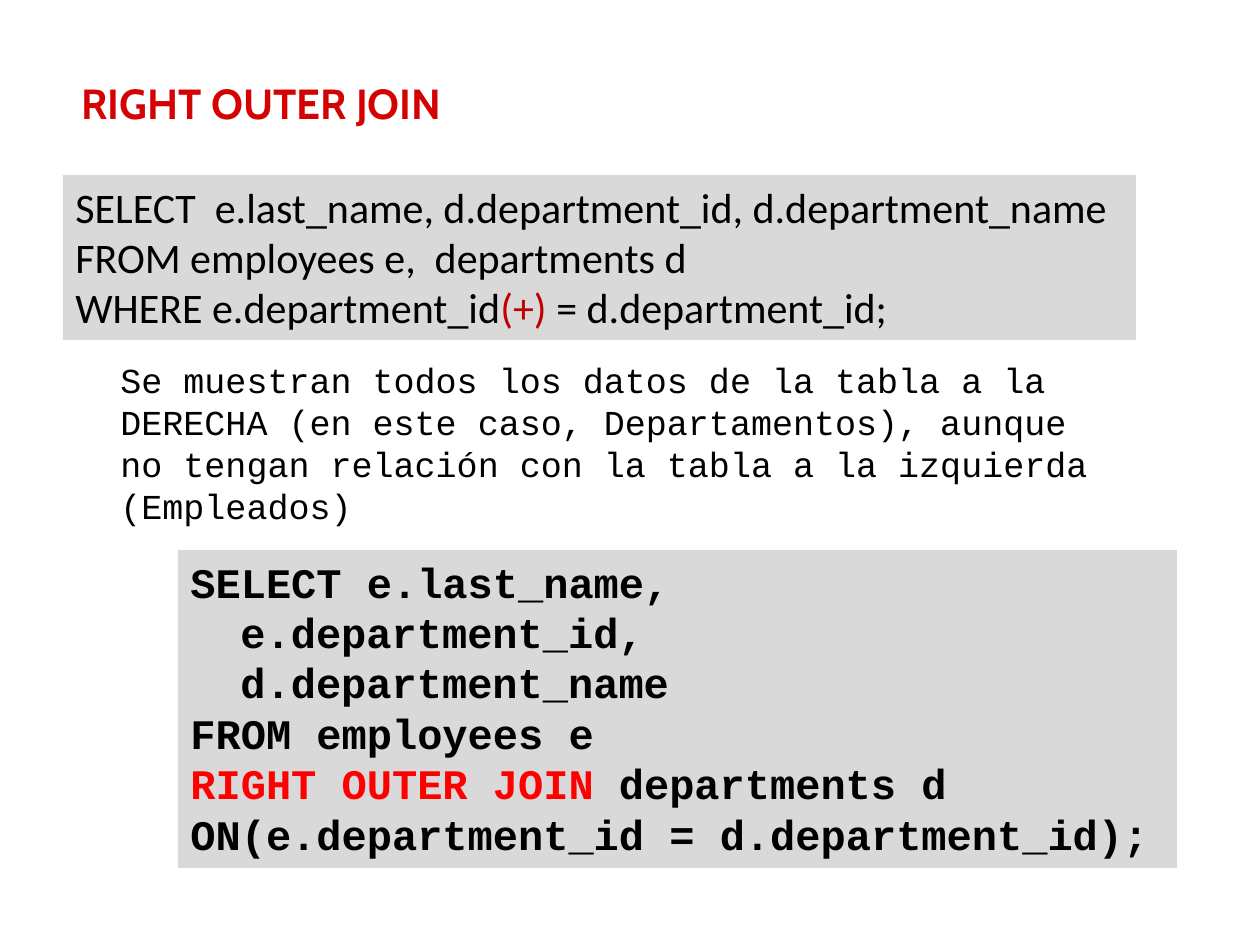
from pptx import Presentation
from pptx import util as u
from pptx.dml.color import RGBColor
from pptx.enum import text

PX = u.Inches(1) / 126
COLORS = {
    "title": "D40202",
    "panel": "D9D9D9",
    "ink": "000000",
    "plus": "C00000",
    "keyword": "FF0000",
}


def px(length):
    return u.Emu(round(length * PX))


def add_text(box, lines, *, font, size=24, color="ink", bold=False, fill=None,
             anchor=text.MSO_ANCHOR.TOP):
    """Each line is (indent in px, runs); each run is (words, colour name or None)."""
    shape = slide.shapes.add_textbox(*map(px, box))
    if fill:
        shape.fill.solid()
        shape.fill.fore_color.rgb = RGBColor.from_string(COLORS[fill])
    frame = shape.text_frame
    frame.word_wrap = True
    frame.vertical_anchor = anchor
    for number, (indent, runs) in enumerate(lines):
        paragraph = frame.paragraphs[0] if number == 0 else frame.add_paragraph()
        if indent:
            properties = paragraph._p.get_or_add_pPr()
            properties.set("marL", str(px(indent)))
            properties.set("indent", "0")
        for words, run_color in runs:
            run = paragraph.add_run()
            run.text = words
            run.font.name = font
            run.font.size = u.Pt(size)
            run.font.bold = bold
            run.font.color.rgb = RGBColor.from_string(COLORS[run_color or color])


presentation = Presentation()
presentation.slide_width = px(1260)
presentation.slide_height = px(945)
slide = presentation.slides.add_slide(presentation.slide_layouts[6])

add_text((69, 64, 439, 78), [(0, [("RIGHT OUTER JOIN", None)])],
         font="Cabin", color="title", bold=True, anchor=text.MSO_ANCHOR.MIDDLE)

old_syntax = [
    (0, [("SELECT  e.last_name, d.department_id, d.department_name", None)]),
    (0, [("FROM employees e,  departments d", None)]),
    (0, [("WHERE e.department_id", None), ("(+)", "plus"),
         (" = d.department_id;", None)]),
]
add_text((63, 175, 1073, 165), old_syntax, font="Calibri", fill="panel")

join_syntax = [
    (0, [("SELECT e.last_name,", None)]),
    (50, [("e.department_id,", None)]),
    (50, [("d.department_name", None)]),
    (0, [("FROM employees e", None)]),
    (0, [("RIGHT OUTER JOIN ", "keyword"), ("departments d", None)]),
    (0, [("ON(e.department_id = d.department_id);", None)]),
]
add_text((178, 550, 999, 318), join_syntax, font="Courier New", bold=True, fill="panel")

explanation = (
    "Se muestran todos los datos de la tabla a la DERECHA "
    "(en este caso, Departamentos), aunque no tengan relación "
    "con la tabla a la izquierda (Empleados)"
)
add_text((108, 352, 1004, 183), [(0, [(explanation, None)])], font="Courier New", size=20)

presentation.save("out.pptx")
